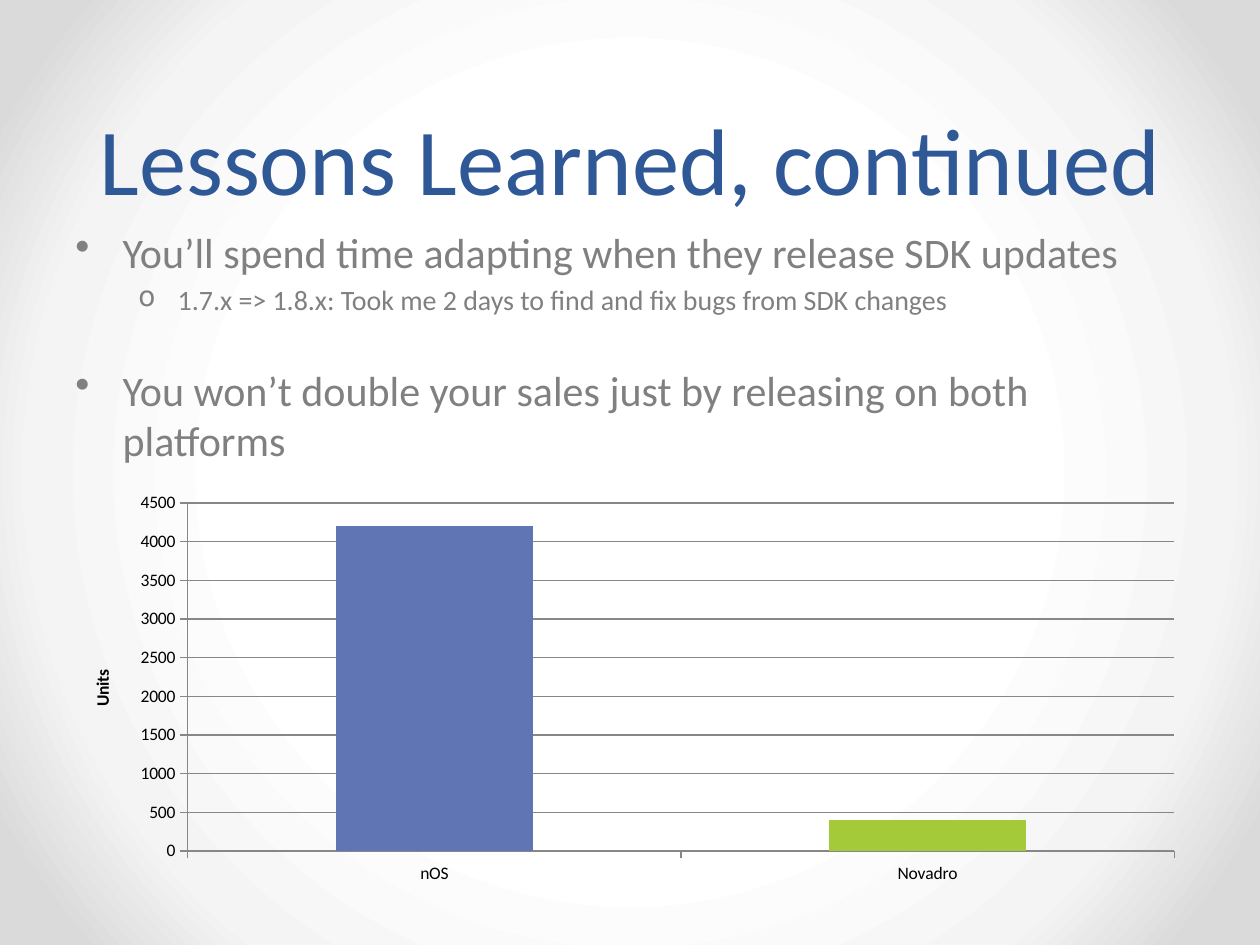
from dataclasses import dataclass
from lxml.etree import SubElement
from pptx import Presentation
from pptx.chart.data import CategoryChartData
from pptx.dml.color import RGBColor
from pptx.enum.chart import XL_CHART_TYPE, XL_TICK_MARK
from pptx.enum.text import MSO_ANCHOR, PP_ALIGN
from pptx.oxml import parse_xml
from pptx.oxml.ns import nsdecls, qn
from pptx.util import Pt


@dataclass(frozen=True)
class Theme:
    font: str = "Calibri"
    title: str = "2F5897"
    body: str = "808080"
    label: str = "000000"
    axis: str = "878787"
    bars: tuple = ("6076B4", "A4CA39")
    backdrop: tuple = ((50, "FFFFFF"), (76, "F4F4F4"), (92, "DADADA"))
    title_size: int = 54
    body_sizes: tuple = (24, 16)
    label_size: int = 10


THEME = Theme()
BULLETS = (("•", 27, 27), ("o", 58.5, 22.5))


def style_font(font, size, color, bold=False):
    font.name = THEME.font
    font.size = Pt(size)
    font.bold = bold
    font.color.rgb = RGBColor.from_string(color)


def add_backdrop(s):
    stops = "".join(
        f'<a:gs pos="{pos * 1000}"><a:srgbClr val="{color}"/></a:gs>'
        for pos, color in THEME.backdrop)
    s.background.fill.solid()
    bg_pr = s.background._cSld.bg.bgPr
    bg_pr.replace(bg_pr.find(qn("a:solidFill")), parse_xml(
        f'<a:gradFill {nsdecls("a")} rotWithShape="1"><a:gsLst>{stops}</a:gsLst>'
        '<a:path path="circle"><a:fillToRect l="50000" t="50000" r="50000" b="50000"/>'
        '</a:path></a:gradFill>'))


def add_text_frame(s, box):
    tf = s.shapes.add_textbox(*map(Pt, box)).text_frame
    tf.word_wrap = True
    return tf


def add_title(s, box, text):
    tf = add_text_frame(s, box)
    tf.vertical_anchor = MSO_ANCHOR.BOTTOM
    p = tf.paragraphs[0]
    p.text = text
    p.alignment = PP_ALIGN.CENTER
    p.line_spacing = Pt(58)
    style_font(p.font, THEME.title_size, THEME.title)


def add_bullets(s, box, items):
    tf = add_text_frame(s, box)
    for i, (level, text, gap) in enumerate(items):
        p = tf.add_paragraph() if i else tf.paragraphs[0]
        p.text = text
        p.level = level
        size = THEME.body_sizes[level]
        p.space_before = Pt(0.2 * size + gap)
        style_font(p.font, size, THEME.body)
        char, margin, hang = BULLETS[level]
        p_pr = p._p.get_or_add_pPr()
        p_pr.set("marL", str(Pt(margin)))
        p_pr.set("indent", str(-Pt(hang)))
        bullet = SubElement(p_pr, qn("a:buChar"))
        bullet.set("char", char)
        p_pr.insert_element_before(bullet, "a:tabLst", "a:defRPr", "a:extLst")


def add_sales_chart(s, box, sales):
    data = CategoryChartData()
    data.categories = list(sales)
    data.add_series("Series 1", list(sales.values()))
    chart = s.shapes.add_chart(
        XL_CHART_TYPE.COLUMN_CLUSTERED, *map(Pt, box), data).chart
    chart.has_legend = False
    chart.has_title = False
    style_font(chart.font, THEME.label_size, THEME.label)

    plot = chart.plots[0]
    plot.gap_width = 150
    plot.vary_by_categories = False
    for i, color in enumerate(THEME.bars):
        fill = plot.series[0].points[i].format.fill
        fill.solid()
        fill.fore_color.rgb = RGBColor.from_string(color)

    units = chart.value_axis
    units.minimum_scale, units.maximum_scale, units.major_unit = 0, 4500, 500
    units.has_major_gridlines = True
    units.has_title = True
    p = units.axis_title.text_frame.paragraphs[0]
    p.text = "Units"
    style_font(p.font, THEME.label_size, THEME.label, bold=True)
    for axis in (units, chart.category_axis):
        axis.major_tick_mark = XL_TICK_MARK.OUTSIDE
    for part in (units, chart.category_axis, units.major_gridlines):
        part.format.line.color.rgb = RGBColor.from_string(THEME.axis)
        part.format.line.width = Pt(0.75)

    area = chart._chartSpace.chart.plotArea
    for old in area.findall(qn("c:layout")):
        area.remove(old)
    places = "".join(f'<c:{k} val="{v}"/>' for k, v in (
        ("layoutTarget", "inner"), ("xMode", "edge"), ("yMode", "edge"),
        ("x", 0.11), ("y", 0.05), ("w", 0.87), ("h", 0.85)))
    area.insert(0, parse_xml(
        f'<c:layout {nsdecls("c")}><c:manualLayout>{places}</c:manualLayout></c:layout>'))


def add_lessons_slide(prs):
    s = prs.slides.add_slide(prs.slide_layouts[6])
    add_backdrop(s)
    add_title(s, (36, 0, 648, 126), "Lessons Learned, continued")
    add_bullets(s, (36, 126, 648, 356.4), (
        (0, "You’ll spend time adapting when they release SDK updates", 0),
        (1, "1.7.x => 1.8.x: Took me 2 days to find and fix bugs from SDK changes", 0),
        (0, "You won’t double your sales just by releasing on both platforms", 22.7)))
    add_sales_chart(s, (36, 275.75, 648, 234), {"nOS": 4200, "Novadro": 400})


prs = Presentation()
prs.slide_width, prs.slide_height = Pt(720), Pt(540)
add_lessons_slide(prs)
prs.save("out.pptx")
